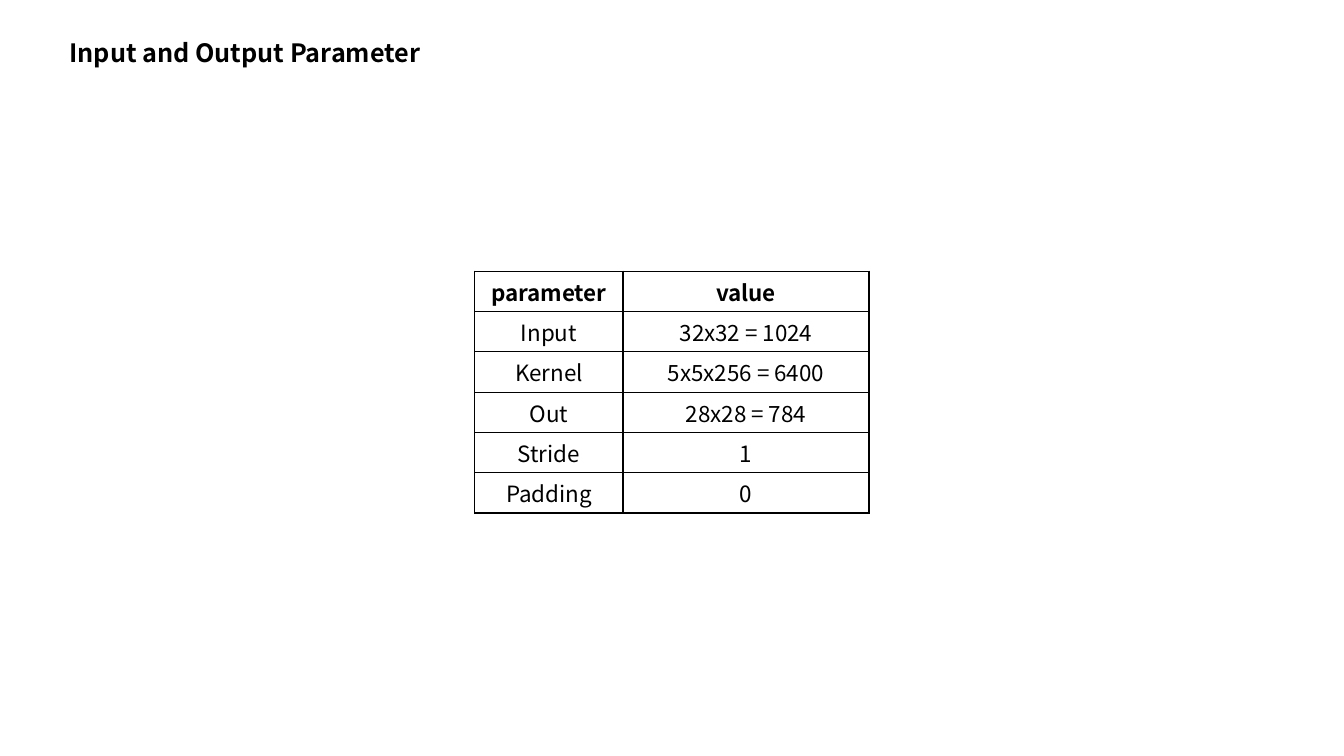
from dataclasses import dataclass

from lxml.etree import SubElement
from pptx import Presentation
from pptx.dml.color import RGBColor as Rgb
from pptx.enum.text import MSO_ANCHOR as Anchor, PP_ALIGN as Align
from pptx.oxml.ns import qn
from pptx.util import Inches, Pt


@dataclass(frozen=True)
class Theme:
    font: str = "Noto Sans CJK KR"
    ink: str = "000000"
    paper: str = "FFFFFF"
    title_size: int = 18
    table_size: int = 16
    border_width: int = 1


def write(frame, text, *, theme, size, bold=False, align=Align.CENTER):
    paragraph = frame.paragraphs[0]
    paragraph.alignment = align
    run = paragraph.add_run()
    run.text = text
    run.font.name = theme.font
    run.font.size = Pt(size)
    run.font.bold = bold
    run.font.color.rgb = Rgb.from_string(theme.ink)


class SlideBuilder:
    def __init__(self, slide, theme):
        self.slide = slide
        self.theme = theme

    def title(self, text, left, top, width, height):
        box = self.slide.shapes.add_textbox(
            Inches(left), Inches(top), Inches(width), Inches(height))
        box.text_frame.word_wrap = True
        write(box.text_frame, text, theme=self.theme,
              size=self.theme.title_size, bold=True)

    def table(self, rows, left, top, column_widths, row_height):
        table = self.slide.shapes.add_table(
            len(rows), len(column_widths), Inches(left), Inches(top),
            Inches(sum(column_widths)), Inches(row_height * len(rows))).table
        table.horz_banding = False
        for column, width in zip(table.columns, column_widths):
            column.width = Inches(width)
        for row_index, values in enumerate(rows):
            for column_index, value in enumerate(values):
                self.cell(table.cell(row_index, column_index), value,
                          bold=row_index == 0)

    def cell(self, cell, text, bold):
        cell.margin_left = cell.margin_right = Inches(0.09)
        cell.margin_top = cell.margin_bottom = Inches(0.04)
        cell.vertical_anchor = Anchor.MIDDLE
        self.borders(cell)
        cell.fill.solid()
        cell.fill.fore_color.rgb = Rgb.from_string(self.theme.paper)
        write(cell.text_frame, text, theme=self.theme,
              size=self.theme.table_size, bold=bold)

    def borders(self, cell):
        properties = cell._tc.get_or_add_tcPr()
        for side in ("lnL", "lnR", "lnT", "lnB"):
            border = SubElement(properties, qn(f"a:{side}"),
                                w=str(Pt(self.theme.border_width)))
            fill = SubElement(border, qn("a:solidFill"))
            SubElement(fill, qn("a:srgbClr"), val=self.theme.ink)


def main():
    deck = Presentation()
    deck.slide_width = Inches(13.33)
    deck.slide_height = Inches(7.5)
    builder = SlideBuilder(deck.slides.add_slide(deck.slide_layouts[6]), Theme())

    parameters = [
        ("parameter", "value"),
        ("Input", "32x32 = 1024"),
        ("Kernel", "5x5x256 = 6400"),
        ("Out", "28x28 = 784"),
        ("Stride", "1"),
        ("Padding", "0"),
    ]
    builder.table(parameters, 4.71, 2.69, column_widths=(1.47, 2.44),
                  row_height=0.35)
    builder.title("Input and Output Parameter", 0.4, 0.32, 4.06, 0.4)
    deck.save("out.pptx")


if __name__ == "__main__":
    main()
